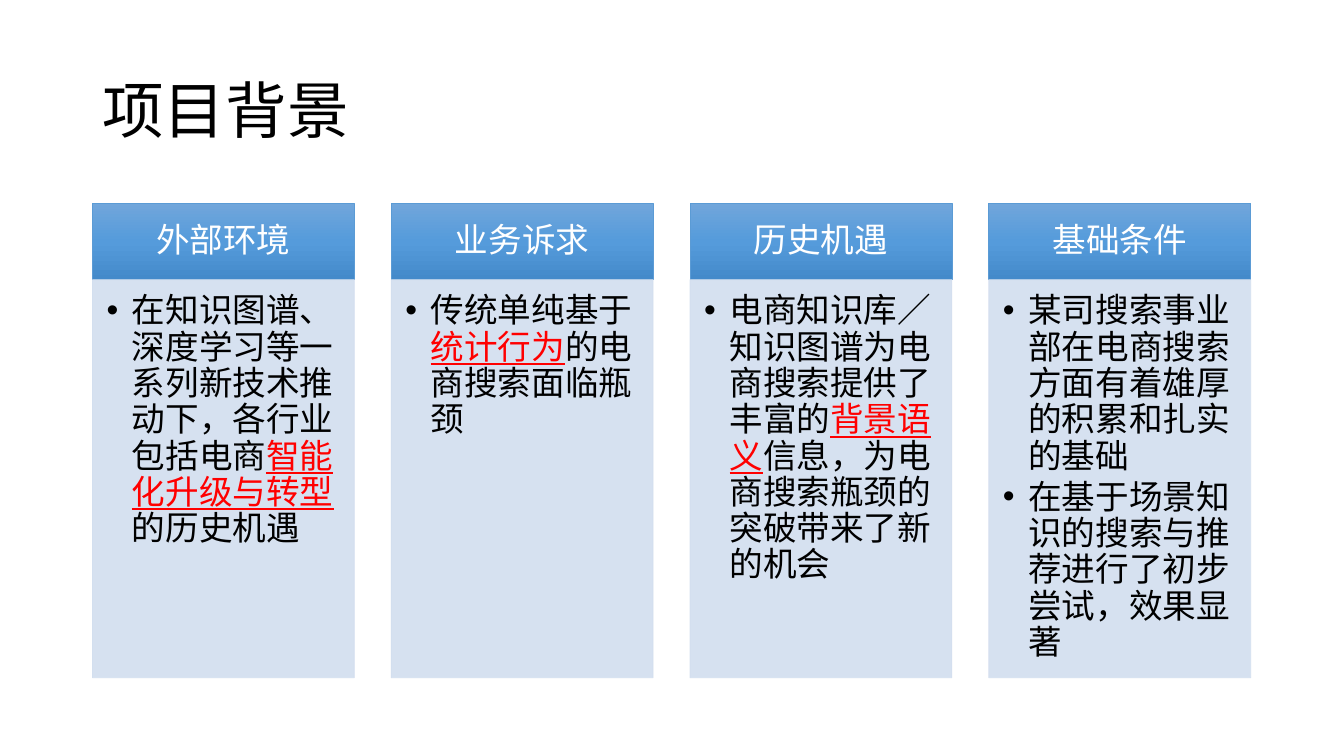
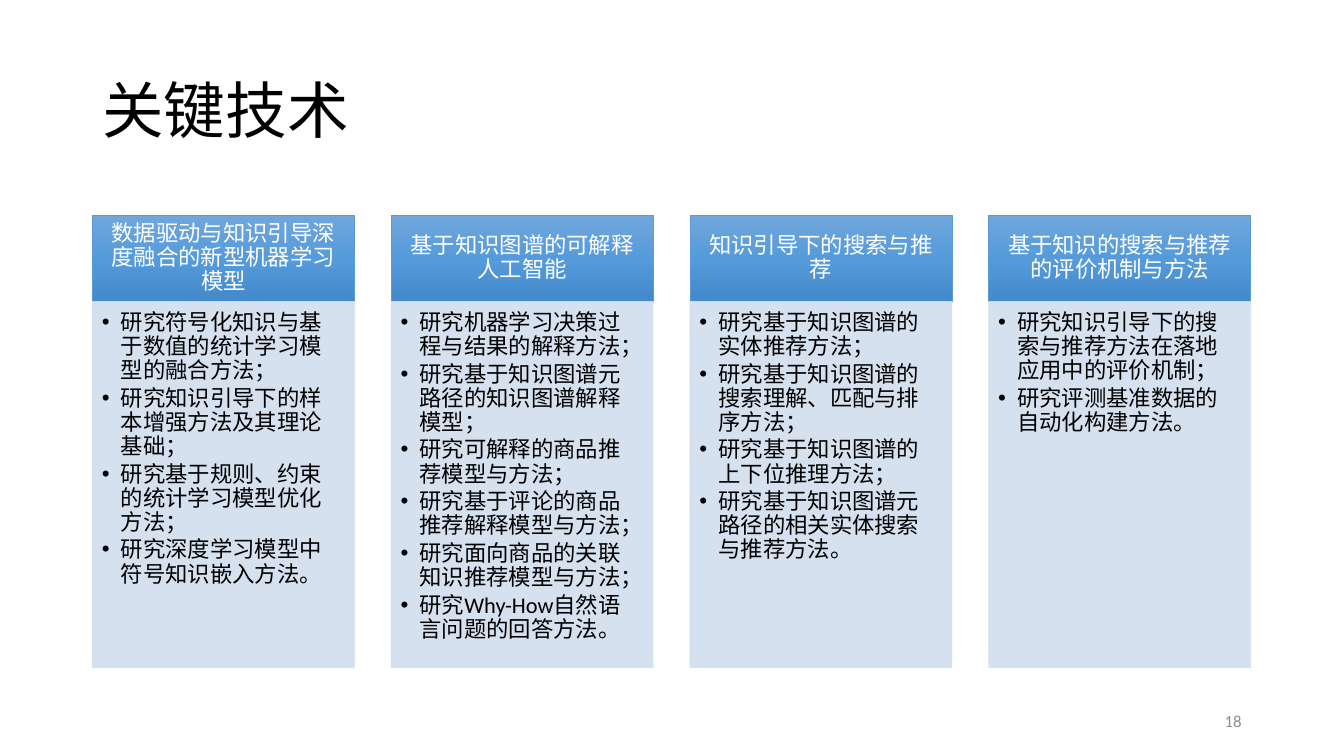
import copy
from dataclasses import dataclass

import pptx
import pptx.dml.color
import pptx.enum.shapes
import pptx.enum.text
import pptx.oxml.ns
import pptx.shapes.autoshape
import pptx.slide
import pptx.text.text
import pptx.util
from lxml import etree

Cm = pptx.util.Cm
RGBColor = pptx.dml.color.RGBColor
Align = pptx.enum.text.PP_ALIGN
Anchor = pptx.enum.text.MSO_ANCHOR
qn = pptx.oxml.ns.qn

# Shared style
FONT = "Calibri"
BLACK = RGBColor(0x00, 0x00, 0x00)
WHITE = RGBColor(0xFF, 0xFF, 0xFF)
RED = RGBColor(0xFF, 0x00, 0x00)
GRAY = RGBColor(0x8C, 0x8C, 0x8C)
HEADER_LINE = RGBColor(0x5B, 0x9B, 0xD5)
HEADER_GRADIENT = (
    RGBColor(0x71, 0xA6, 0xDB),
    RGBColor(0x55, 0x9B, 0xDB),
    RGBColor(0x44, 0x8A, 0xCA),
)
BODY_FILL = RGBColor(0xD2, 0xDE, 0xEF)
BODY_OPACITY = 90000

# Shared column grid
COLUMN_LEFT = Cm(2.33)
COLUMN_WIDTH = Cm(6.6)
COLUMN_PITCH = Cm(7.53)


@dataclass(frozen=True)
class Column:
    heading: str
    points: tuple[str, ...]  # text between bars is emphasised


@dataclass(frozen=True)
class Page:
    title: str
    columns: tuple[Column, ...]
    size: int
    top: float
    header_height: float
    body_height: float
    indent: float
    number: str = ""


PAGES = (
    Page(
        title="项目背景",
        size=24, top=5.12, header_height=1.93, body_height=10.03, indent=0.64,
        columns=(
            Column("外部环境", (
                "在知识图谱、深度学习等一系列新技术推动下，各行业包括电商|智能化升级与转型|的历史机遇",
            )),
            Column("业务诉求", ("传统单纯基于|统计行为|的电商搜索面临瓶颈",)),
            Column("历史机遇", (
                "电商知识库／知识图谱为电商搜索提供了丰富的|背景语义|信息，为电商搜索瓶颈的突破带来了新的机会",
            )),
            Column("基础条件", (
                "某司搜索事业部在电商搜索方面有着雄厚的积累和扎实的基础",
                "在基于场景知识的搜索与推荐进行了初步尝试，效果显著",
            )),
        ),
    ),
    Page(
        title="关键技术",
        size=16, top=5.42, header_height=2.18, body_height=9.22, indent=0.48,
        number="18",
        columns=(
            Column("数据驱动与知识引导深度融合的新型机器学习模型", (
                "研究符号化知识与基于数值的统计学习模型的融合方法；",
                "研究知识引导下的样本增强方法及其理论基础；",
                "研究基于规则、约束的统计学习模型优化方法；",
                "研究深度学习模型中符号知识嵌入方法。",
            )),
            Column("基于知识图谱的可解释人工智能", (
                "研究机器学习决策过程与结果的解释方法；",
                "研究基于知识图谱元路径的知识图谱解释模型；",
                "研究可解释的商品推荐模型与方法；",
                "研究基于评论的商品推荐解释模型与方法；",
                "研究面向商品的关联知识推荐模型与方法；",
                "研究Why-How自然语言问题的回答方法。",
            )),
            Column("知识引导下的搜索与推荐", (
                "研究基于知识图谱的实体推荐方法；",
                "研究基于知识图谱的搜索理解、匹配与排序方法；",
                "研究基于知识图谱的上下位推理方法；",
                "研究基于知识图谱元路径的相关实体搜索与推荐方法。",
            )),
            Column("基于知识的搜索与推荐的评价机制与方法", (
                "研究知识引导下的搜索与推荐方法在落地应用中的评价机制；",
                "研究评测基准数据的自动化构建方法。",
            )),
        ),
    ),
)


def style_paragraph(
    paragraph: pptx.text.text._Paragraph,
    size: int,
    color: RGBColor,
    align: Align,
    spacing: float = 0.9,
) -> None:
    paragraph.alignment = align
    paragraph.line_spacing = spacing
    paragraph.font.name = FONT
    paragraph.font.size = pptx.util.Pt(size)
    paragraph.font.color.rgb = color


def set_insets(
    frame: pptx.text.text.TextFrame,
    size: int,
    left: float,
    top: float,
    right: float,
    bottom: float,
) -> None:
    """Set the insets as multiples of the text size."""
    em = pptx.util.Pt(size)
    frame.margin_left = int(left * em)
    frame.margin_top = int(top * em)
    frame.margin_right = int(right * em)
    frame.margin_bottom = int(bottom * em)


def add_label(
    slide: pptx.slide.Slide,
    text: str,
    box: tuple[int, int, int, int],
    size: int,
    color: RGBColor,
    align: Align,
    spacing: float,
) -> None:
    frame = slide.shapes.add_textbox(*box).text_frame
    frame.word_wrap = True
    frame.vertical_anchor = Anchor.MIDDLE
    frame.text = text
    style_paragraph(frame.paragraphs[0], size, color, align, spacing)


def add_panel(
    slide: pptx.slide.Slide, left: int, top: int, height: int, line: RGBColor
) -> pptx.shapes.autoshape.Shape:
    panel = slide.shapes.add_shape(
        pptx.enum.shapes.MSO_SHAPE.RECTANGLE, left, top, COLUMN_WIDTH, height
    )
    panel.shadow.inherit = False
    panel.line.color.rgb = line
    panel.line.width = pptx.util.Pt(0.5)
    panel.text_frame.word_wrap = True
    return panel


def add_header(slide: pptx.slide.Slide, page: Page, heading: str, left: int) -> None:
    header = add_panel(
        slide, left, Cm(page.top), Cm(page.header_height), HEADER_LINE
    )
    # Three-stop gradient, light at the top
    header.fill.gradient()
    header.fill.gradient_angle = 270
    stop_list = next(header._element.spPr.iter(qn("a:gsLst")))
    stop_list.insert(1, copy.deepcopy(stop_list[0]))
    for index, (stop, color) in enumerate(
        zip(header.fill.gradient_stops, HEADER_GRADIENT)
    ):
        stop.position = index / 2
        stop.color.rgb = color

    frame = header.text_frame
    set_insets(frame, page.size, 0.56, 0.32, 0.56, 0.32)
    frame.vertical_anchor = Anchor.MIDDLE
    frame.text = heading
    style_paragraph(frame.paragraphs[0], page.size, WHITE, Align.CENTER)


def add_bullet(paragraph: pptx.text.text._Paragraph, indent: int) -> None:
    properties = paragraph._p.get_or_add_pPr()
    properties.set("marL", str(indent))
    properties.set("indent", str(-indent))
    etree.SubElement(properties, qn("a:buFont"), typeface="Arial")
    etree.SubElement(properties, qn("a:buChar"), char="•")


def add_body(
    slide: pptx.slide.Slide, page: Page, points: tuple[str, ...], left: int
) -> None:
    top = Cm(page.top) + Cm(page.header_height)
    body = add_panel(slide, left, top, Cm(page.body_height), BODY_FILL)
    body.fill.solid()
    body.fill.fore_color.rgb = BODY_FILL
    for color in body._element.spPr.iter(qn("a:srgbClr")):
        etree.SubElement(color, qn("a:alpha"), val=str(BODY_OPACITY))

    frame = body.text_frame
    set_insets(frame, page.size, 0.42, 0.42, 0.56, 0.63)
    frame.vertical_anchor = Anchor.TOP
    for index, point in enumerate(points):
        paragraph = frame.add_paragraph() if index else frame.paragraphs[0]
        add_bullet(paragraph, Cm(page.indent))
        style_paragraph(paragraph, page.size, BLACK, Align.LEFT)
        paragraph.space_after = pptx.util.Pt(0.15 * page.size)
        for part, text in enumerate(point.split("|")):
            run = paragraph.add_run()
            run.text = text
            if part % 2:
                run.font.color.rgb = RED
                run.font.underline = True


def add_page(deck: pptx.presentation.Presentation, page: Page) -> None:
    slide = deck.slides.add_slide(deck.slide_layouts[6])
    title_box = (COLUMN_LEFT, Cm(1.01), Cm(29.21), Cm(3.68))
    add_label(slide, page.title, title_box, 44, BLACK, Align.LEFT, 0.9)
    for index, column in enumerate(page.columns):
        left = COLUMN_LEFT + index * COLUMN_PITCH
        add_header(slide, page, column.heading, left)
        add_body(slide, page, column.points, left)
    if page.number:
        number_box = (Cm(23.92), Cm(17.66), Cm(7.62), Cm(1.01))
        add_label(slide, page.number, number_box, 12, GRAY, Align.RIGHT, 1.0)


def main() -> None:
    deck = pptx.Presentation()
    deck.slide_width = Cm(33.87)
    deck.slide_height = Cm(19.05)
    for page in PAGES:
        add_page(deck, page)
    deck.save("out.pptx")


if __name__ == "__main__":
    main()
